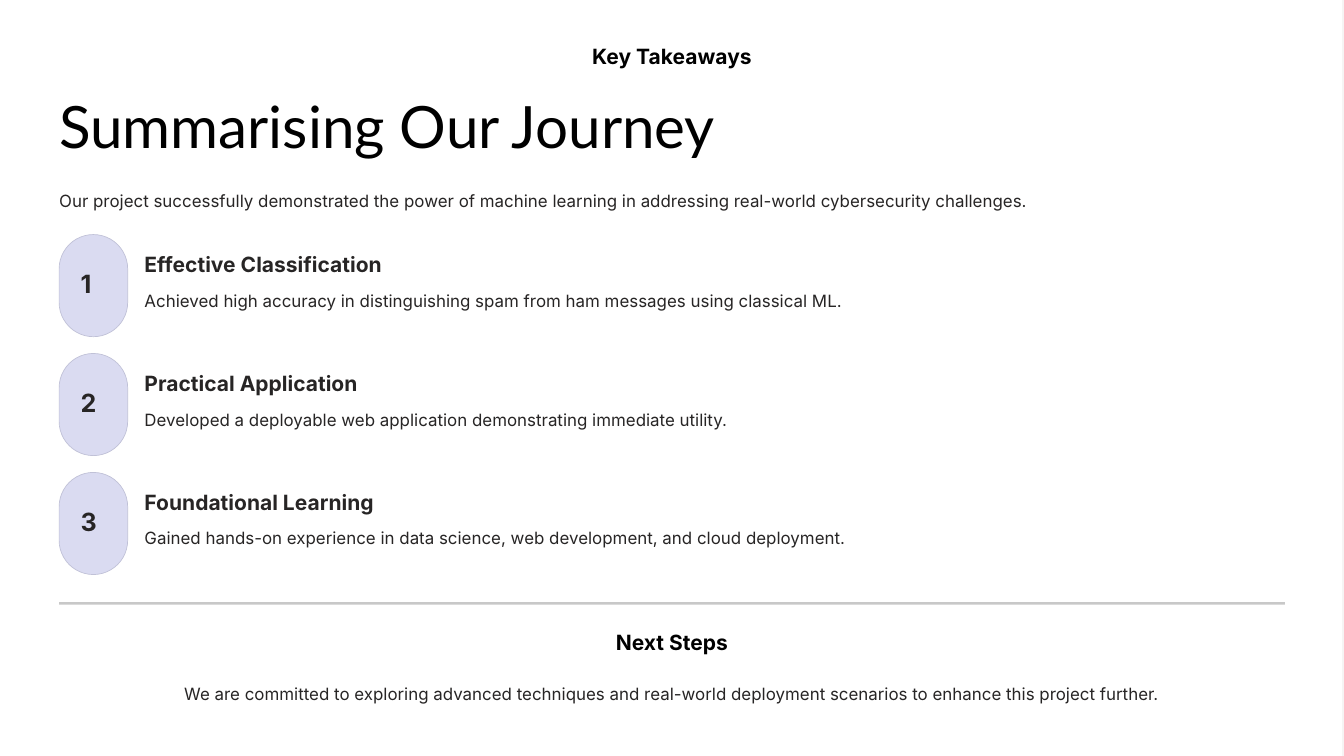
import pptx
import pptx.util
import pptx.dml.color
import pptx.enum.shapes
import pptx.enum.text
import pptx.oxml.ns
import lxml.etree

Inches = pptx.util.Inches
Pt = pptx.util.Pt
SHAPE = pptx.enum.shapes.MSO_SHAPE
ALIGN = pptx.enum.text.PP_ALIGN

COLOURS = {
    "edge": "F6F4F4",
    "page": "FFFFFF",
    "title": "000000",
    "body": "272525",
    "badge": "DADBF1",
    "badge_border": "C0C1D7",
}
STYLES = {
    "title": ("Lato", 62.5, 78.1, False),
    "heading": ("Inter", 22.5, 28.1, True),
    "number": ("Inter", 26.9, 26.9, True),
    "body": ("Inter", 18.1, 28.8, False),
}

deck = pptx.Presentation()
deck.slide_width = Inches(20)
deck.slide_height = Inches(11.25)
slide = deck.slides.add_slide(deck.slide_layouts[6])


def rgb(name):
    return pptx.dml.color.RGBColor.from_string(COLOURS[name])


def add_text(text, left, top, width, height, style, colour="body", align=ALIGN.LEFT):
    box = slide.shapes.add_textbox(Inches(left), Inches(top), Inches(width), Inches(height))
    frame = box.text_frame
    frame.word_wrap = True
    frame.margin_left = frame.margin_top = frame.margin_right = frame.margin_bottom = 0
    paragraph = frame.paragraphs[0]
    paragraph.alignment = align
    run = paragraph.add_run()
    run.text = text
    run.font.name, size, spacing, run.font.bold = STYLES[style]
    run.font.size = Pt(size)
    run.font.color.rgb = rgb(colour)
    paragraph.line_spacing = Pt(spacing)


slide.background.fill.solid()
slide.background.fill.fore_color.rgb = rgb("edge")

page = slide.shapes.add_shape(SHAPE.RECTANGLE, 0, 0, Inches(19.97), Inches(11.25))
page.shadow.inherit = False
page.fill.solid()
page.fill.fore_color.rgb = rgb("page")
page.line.fill.background()

add_text("Key Takeaways", 8.42, 0.63, 3.16, 0.42, "heading", "title", ALIGN.CENTER)
add_text("Summarising Our Journey", 0.88, 1.3, 11.12, 1.08, "title", "title")
add_text(
    "Our project successfully demonstrated the power of machine learning "
    "in addressing real-world cybersecurity challenges.",
    0.88, 2.74, 18.23, 0.48, "body",
)

takeaways = [
    ("Effective Classification",
     "Achieved high accuracy in distinguishing spam from ham messages using classical ML."),
    ("Practical Application",
     "Developed a deployable web application demonstrating immediate utility."),
    ("Foundational Learning",
     "Gained hands-on experience in data science, web development, and cloud deployment."),
]
for index, (heading, detail) in enumerate(takeaways):
    top = 3.49 + 1.77 * index
    badge = slide.shapes.add_shape(
        SHAPE.ROUNDED_RECTANGLE, Inches(0.88), Inches(top), Inches(1.02), Inches(1.52))
    badge.adjustments[0] = 0.5
    badge.shadow.inherit = False
    badge.fill.solid()
    badge.fill.fore_color.rgb = rgb("badge")
    badge.line.color.rgb = rgb("badge_border")
    badge.line.width = Pt(0.75)
    add_text(str(index + 1), 1.2, top + 0.58, 0.38, 0.42, "number")
    add_text(heading, 2.15, top + 0.24, 3.56, 0.42, "heading")
    add_text(detail, 2.15, top + 0.73, 16.97, 0.48, "body")

divider = slide.shapes.add_shape(
    SHAPE.RECTANGLE, Inches(0.88), Inches(8.96), Inches(18.24), Inches(0.04))
divider.shadow.inherit = False
divider.fill.solid()
divider.fill.fore_color.rgb = rgb("body")
divider.line.fill.background()
divider_colour = divider.fill._xPr.find(".//" + pptx.oxml.ns.qn("a:srgbClr"))
lxml.etree.SubElement(divider_colour, pptx.oxml.ns.qn("a:alpha"), val="25000")

add_text("Next Steps", 8.42, 9.36, 3.16, 0.42, "heading", "title", ALIGN.CENTER)
add_text(
    "We are committed to exploring advanced techniques and real-world "
    "deployment scenarios to enhance this project further.",
    0.88, 10.08, 18.23, 0.48, "body", align=ALIGN.CENTER,
)

deck.save("out.pptx")
